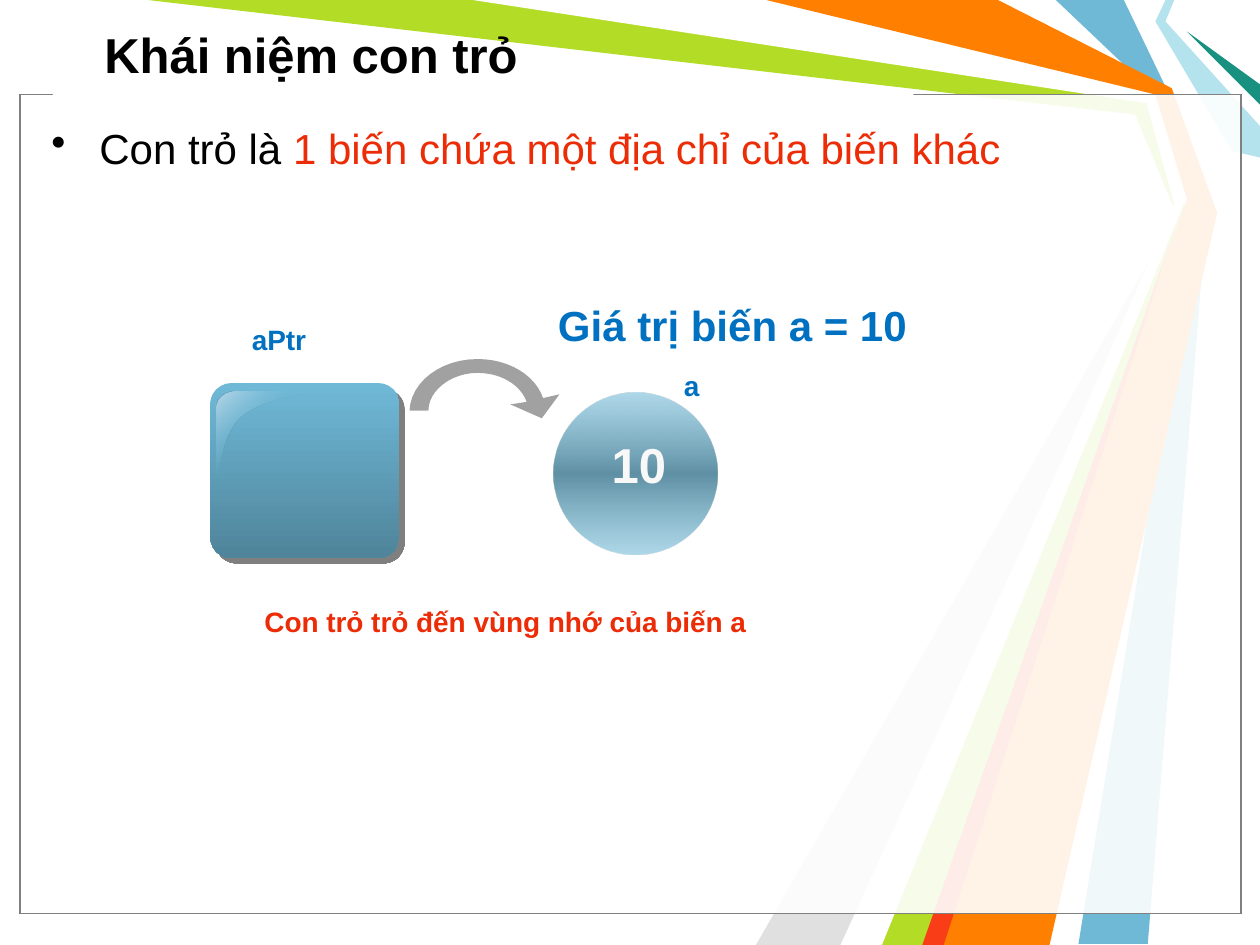
from lxml import etree
from pptx import Presentation
from pptx.dml.color import RGBColor
from pptx.enum.shapes import MSO_SHAPE
from pptx.enum.text import MSO_ANCHOR, PP_ALIGN
from pptx.oxml import parse_xml
from pptx.oxml.ns import nsdecls, qn
from pptx.util import Inches, Pt

RECTANGLE, ROUNDED, OVAL = MSO_SHAPE.RECTANGLE, MSO_SHAPE.ROUNDED_RECTANGLE, MSO_SHAPE.OVAL
TOP, MIDDLE = MSO_ANCHOR.TOP, MSO_ANCHOR.MIDDLE
LEFT, CENTER, JUSTIFY = PP_ALIGN.LEFT, PP_ALIGN.CENTER, PP_ALIGN.JUSTIFY

BLACK = RGBColor(0x00, 0x00, 0x00)
WHITE = RGBColor(0xFF, 0xFF, 0xFF)
OFF_WHITE = RGBColor(0xF8, 0xF8, 0xF8)
GRAY = RGBColor(0x80, 0x80, 0x80)
LIGHT_GRAY = RGBColor(0xE0, 0xE0, 0xE0)
SKY = RGBColor(0x6F, 0xB9, 0xD7)
DEEP_SKY = RGBColor(0x4F, 0x84, 0x9A)
PALE_SKY = RGBColor(0xBA, 0xD8, 0xE8)
AQUA = RGBColor(0xB4, 0xE3, 0xEE)
LIME = RGBColor(0xB3, 0xDC, 0x27)
TEAL = RGBColor(0x18, 0x91, 0x80)
ORANGE = RGBColor(0xFF, 0x7F, 0x00)
SCARLET = RGBColor(0xF9, 0x3D, 0x17)
RED = RGBColor(0xEC, 0x2C, 0x06)
BLUE = RGBColor(0x00, 0x70, 0xC0)

RIBBONS = [
    (SKY, [(8.92, 0), (9.29, 0.77), (9.58, 1.67), (9.11, 7.49), (8.56, 7.49),
           (9.5, 1.67), (9.17, 0.75), (8.38, 0)]),
    (LIME, [(1.17, 0), (3.83, 0), (9.14, 0.78), (9.42, 1.69), (7.42, 7.5),
            (6.92, 7.5), (9.35, 1.73), (9.01, 0.91)]),
    (LIGHT_GRAY, [(6.67, 7.5), (9.27, 1.81), (6, 7.5)]),
    (WHITE, [(3.75, 0), (9.1, 0.82), (9.32, 1.62), (6.75, 7.5), (7, 7.5),
             (9.41, 1.58), (9.17, 0.75), (6, 0)]),
    (AQUA, [(9.25, 0), (9.17, 0.17), (9.78, 1.2), (10, 1.25), (10, 1),
            (9.25, 0.17), (9.32, 0)]),
    (TEAL, [(10, 0.83), (9.42, 0.25), (10, 0.67)]),
    (ORANGE, [(6.08, 0), (7.92, 0), (9.3, 0.7), (9.66, 1.69), (8.33, 7.5),
              (7.33, 7.5), (9.42, 1.58), (9.17, 0.75)]),
    (SCARLET, [(7.32, 7.5), (9.32, 1.83), (7.49, 7.5)]),
]
GLOSS = [(0.2, 0.07), (0.12, 0.07, 0.05, 0.13, 0.05, 0.2), (0.05, 0.75),
         (0.09, 0.76, 0.07, 0.42, 0.25, 0.27), (0.44, 0.11, 0.8, 0.1, 0.79, 0.07)]
ARROW = [(0.93, 0.34), (0.88, 0.2, 0.72, 0.11, 0.54, 0.11), (0.33, 0.11, 0.15, 0.25, 0.15, 0.41),
         (0, 0.41), (0.01, 0.18, 0.25, 0, 0.54, 0), (0.79, 0, 1, 0.13, 1.06, 0.31),
         (1.19, 0.28), (1.05, 0.47), (0.8, 0.36)]


def paint(shape, color, opacity=100):
    """Give a shape a plain fill without line or shadow."""
    shape.shadow.inherit = False
    shape.line.fill.background()
    shape.fill.solid()
    shape.fill.fore_color.rgb = color
    if opacity < 100:
        color_element = shape.fill._xPr.find(qn("a:solidFill"))[0]
        etree.SubElement(color_element, qn("a:alpha"), val=str(opacity * 1000))


def paint_gradient(shape, stops, angle):
    """Fill a shape with (position, color, opacity) gradient stops."""
    paint(shape, WHITE)
    stop_xml = "".join(
        f'<a:gs pos="{position * 1000}"><a:srgbClr val="{color}">'
        f'<a:alpha val="{opacity * 1000}"/></a:srgbClr></a:gs>'
        for position, color, opacity in stops)
    gradient = parse_xml(
        f'<a:gradFill {nsdecls("a")} rotWithShape="1"><a:gsLst>{stop_xml}</a:gsLst>'
        f'<a:lin ang="{angle * 60000}" scaled="0"/></a:gradFill>')
    solid = shape.fill._xPr.find(qn("a:solidFill"))
    solid.getparent().replace(solid, gradient)


def add_preset(slide, kind, box):
    """Add a preset shape in a box given in inches."""
    return slide.shapes.add_shape(kind, *map(Inches, box))


def add_outline(slide, box, steps, segments=12):
    """Draw a closed outline of corners and cubic curves relative to a box."""
    points = [steps[0]]
    for step in steps[1:]:
        if len(step) == 2:
            points.append(step)
            continue
        nodes = [points[-1], step[:2], step[2:4], step[4:]]
        for index in range(1, segments + 1):
            t = index / segments
            weights = [(1 - t) ** 3, 3 * t * (1 - t) ** 2, 3 * t ** 2 * (1 - t), t ** 3]
            points.append(tuple(sum(weight * node[axis] for weight, node in zip(weights, nodes))
                                for axis in (0, 1)))
    places = [(Inches(box[0] + x), Inches(box[1] + y)) for x, y in points]
    builder = slide.shapes.build_freeform(*places[0])
    builder.add_line_segments(places[1:], close=True)
    return builder.convert_to_shape()


def add_text(slide, box, runs, size, bold=True, align=LEFT, anchor=TOP, wrap=True, bullet=None):
    """Add one paragraph of (text, color) runs, with an optional hanging bullet."""
    frame = slide.shapes.add_textbox(*map(Inches, box)).text_frame
    frame.word_wrap = wrap
    frame.vertical_anchor = anchor
    paragraph = frame.paragraphs[0]
    paragraph.alignment = align
    if bullet:
        properties = paragraph._p.get_or_add_pPr()
        properties.set("marL", str(Inches(0.38)))
        properties.set("indent", str(-Inches(0.38)))
        etree.SubElement(properties, qn("a:buChar"), char=bullet)
    for text, color in runs:
        run = paragraph.add_run()
        run.text = text
        for name, value in {"name": "Arial", "size": Pt(size), "bold": bold}.items():
            setattr(run.font, name, value)
        run.font.color.rgb = color


def add_backdrop(slide, box):
    """Draw the colored ribbons behind the content."""
    for color, points in RIBBONS:
        paint(add_outline(slide, box, points), color)


def add_panel(slide, box):
    """Draw the double translucent panel and the gap in its top edge."""
    for color in (BLACK, GRAY):
        panel = add_preset(slide, RECTANGLE, box)
        paint(panel, WHITE, 69)
        panel.line.color.rgb = color
        panel.line.width = Pt(0.75)
    left, top = box[:2]
    paint(add_preset(slide, RECTANGLE, (left + 0.26, top - 0.01, 6.83, 0.17)), WHITE)


def add_pointer(slide, box):
    """Draw the glossy pointer square with its name above."""
    left, top = box[:2]
    square = add_preset(slide, ROUNDED, box)
    square.adjustments[0] = 0.12
    paint_gradient(square, [(0, SKY, 100), (100, DEEP_SKY, 100)], 90)
    effects = square._element.spPr.find(qn("a:effectLst"))
    effects.append(parse_xml(
        f'<a:outerShdw {nsdecls("a")} dist="{Pt(4.2)}" dir="2700000" algn="ctr" '
        f'rotWithShape="0"><a:srgbClr val="{BLACK}"><a:alpha val="50000"/>'
        '</a:srgbClr></a:outerShdw>'))
    gloss = add_outline(slide, box, GLOSS)
    paint_gradient(gloss, [(0, PALE_SKY, 100), (50, SKY, 0), (100, PALE_SKY, 100)], 45)
    add_text(slide, (left + 0.23, top - 0.53, 0.64, 0.37), [("aPtr", BLUE)], 16, wrap=False)


def add_variable(slide, box):
    """Draw the variable circle with its value, name and caption."""
    left, top = box[:2]
    circle = add_preset(slide, OVAL, box)
    paint_gradient(circle, [(0, SKY, 55), (50, DEEP_SKY, 90), (100, SKY, 55)], 90)
    add_text(slide, (left + 0.1, top + 0.28, 1.16, 0.57), [("10", OFF_WHITE)], 28, align=CENTER)
    add_text(slide, (left - 0.06, top - 0.79, 2.99, 0.5), [("Giá trị biến a = 10", BLUE)], 24,
             wrap=False)
    add_text(slide, (left + 0.94, top - 0.24, 0.34, 0.37), [("a", BLUE)], 16)


def main():
    """Build and save the slide."""
    presentation = Presentation()
    presentation.slide_width, presentation.slide_height = Inches(10), Inches(7.5)
    slide = presentation.slides.add_slide(presentation.slide_layouts[6])
    add_backdrop(slide, (0, 0, 10, 7.5))
    add_panel(slide, (0.16, 0.75, 9.69, 6.5))
    add_text(slide, (0.73, 0.08, 9.11, 0.69), [("Khái niệm con trỏ", BLACK)], 28, anchor=MIDDLE)
    add_text(slide, (0.31, 0.92, 9.38, 6.17),
             [("Con trỏ là ", BLACK), ("1 biến chứa một địa chỉ của biến khác", RED)],
             24, bold=False, align=JUSTIFY, bullet="•")
    add_pointer(slide, (1.67, 3.04, 1.5, 1.39))
    paint(add_outline(slide, (3.25, 2.85, 1.19, 0.47), ARROW), BLACK, 37)
    add_variable(slide, (4.39, 3.12, 1.3, 1.28))
    add_text(slide, (2, 4.75, 4.08, 0.37), [("Con trỏ trỏ đến vùng nhớ của biến a", RED)], 16,
             wrap=False)
    presentation.save("out.pptx")


if __name__ == "__main__":
    main()
